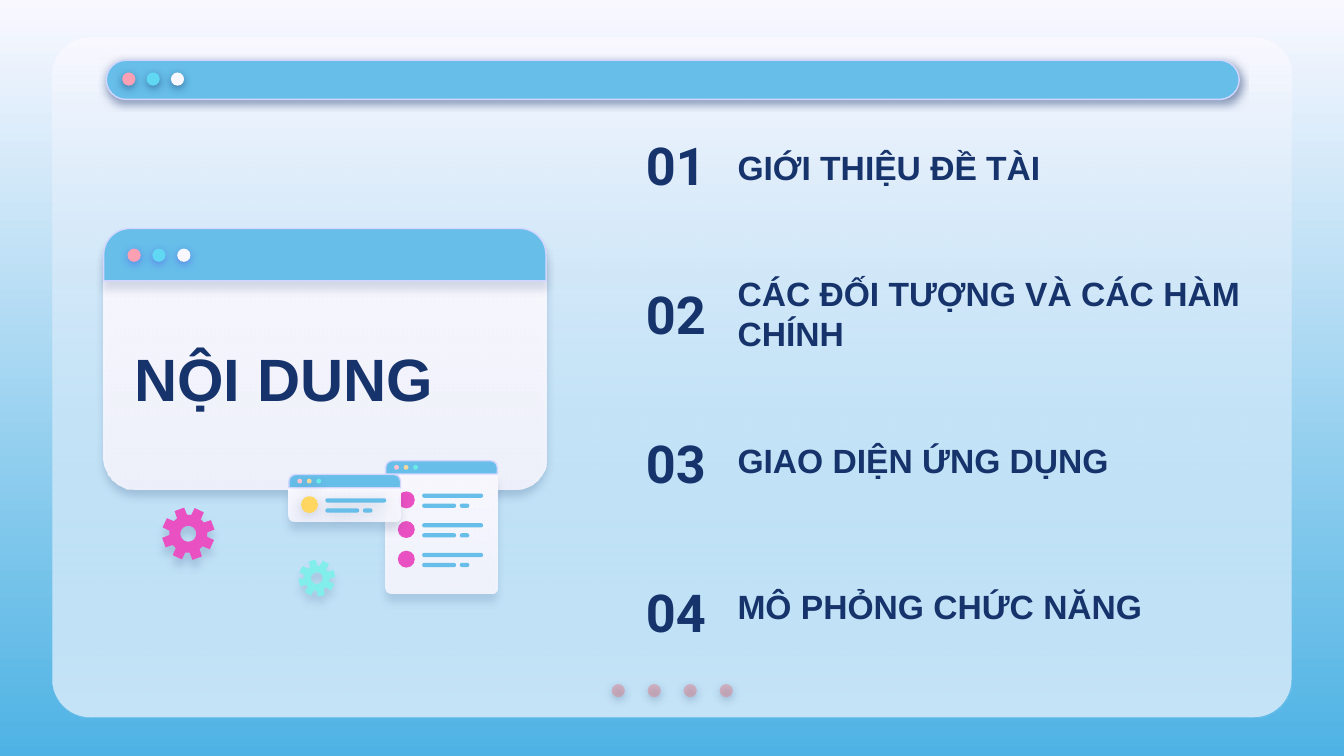
from dataclasses import dataclass
from math import cos, radians, sin
from typing import NamedTuple, Optional

from lxml import etree
from pptx import Presentation
from pptx import util as u
from pptx.dml.color import RGBColor
from pptx.enum import shapes, text
from pptx.oxml.ns import qn

COLORS = {
    "navy": "17336B", "sky": "66BEE9", "deep": "4EB3E4", "snow": "F9F8FF",
    "edge": "D2D6FF", "rose": "E27B83", "pink": "FDA0B4", "cyan": "60D8F4",
    "violet": "5352EE", "blush": "FFC3D0", "sand": "F5D79B", "mint": "6AEBE7",
    "magenta": "E951C2", "yellow": "FFD65F", "aqua": "81EEEB",
}
ROUND = shapes.MSO_SHAPE.ROUNDED_RECTANGLE
CAPPED = shapes.MSO_SHAPE.ROUND_2_SAME_RECTANGLE
OVAL = shapes.MSO_SHAPE.OVAL


class Rect(NamedTuple):
    left: float
    top: float
    width: float
    height: float


class Shadow(NamedTuple):
    color: str
    alpha: int
    blur: float
    distance: float


class Paint(NamedTuple):
    color: str
    alpha: int = 100
    fade_color: Optional[str] = None
    fade_alpha: int = 100


class Entry(NamedTuple):
    number: str
    title: str
    width: float


@dataclass
class MiniWindow:
    left: float
    top: float
    body_height: float
    first_row: float
    rows: int
    bullet: str
    body_shadow: Shadow
    dot_shadow: Optional[Shadow] = None
    row_shadow: Optional[Shadow] = None


@dataclass
class Gear:
    x: float
    y: float
    outer: float
    inner: float
    hole: float
    turn: float
    color: str
    shadow: Shadow


DOT_SHADOW = Shadow("navy", 50, 4.5, 1.5)
GLASS = Paint("snow", 100, "snow", 87)
TRIO = ("pink", "cyan", "snow")
MINI_TRIO = ("blush", "sand", "mint")
ENTRIES = (
    Entry("01", "GIỚI THIỆU ĐỀ TÀI", 9.7),
    Entry("02", "CÁC ĐỐI TƯỢNG VÀ CÁC HÀM CHÍNH", 10.13),
    Entry("03", "GIAO DIỆN ỨNG DỤNG", 9.7),
    Entry("04", "MÔ PHỎNG CHỨC NĂNG", 9.7),
)
MINI_WINDOWS = (
    MiniWindow(7.29, 8.71, 2.26, 0.58, 3, "magenta", Shadow("navy", 15, 4.5, 4.5)),
    MiniWindow(5.46, 8.97, 0.64, 0.41, 1, "yellow", Shadow("navy", 16, 4.5, 4.5),
               Shadow("navy", 17, 4.5, 2.2), Shadow("navy", 18, 6.8, 1.5)),
)
GEARS = (
    Gear(3.56, 10.09, 0.5, 0.36, 0.15, -110, "magenta", Shadow("navy", 16, 4.5, 4.5)),
    Gear(5.99, 10.93, 0.35, 0.24, 0.11, -105, "aqua", Shadow("navy", 15, 4.5, 3.8)),
)


def rgb(name: str) -> RGBColor:
    return RGBColor.from_string(COLORS[name])


def add_alpha(color, percent: int) -> None:
    if percent < 100:
        etree.SubElement(color, qn("a:alpha"), val=str(percent * 1000))


def fill_gradient(fill, first: str, last: str) -> None:
    fill.gradient()
    fill.gradient_angle = 270
    for stop, name, position in zip(fill.gradient_stops, (first, last), (0, 1)):
        stop.color.rgb = rgb(name)
        stop.position = position


def style(shape, paint: Paint, edge: Optional[str] = None,
          shadow: Optional[Shadow] = None) -> None:
    shape.shadow.inherit = False
    if paint.fade_color:
        fill_gradient(shape.fill, paint.color, paint.fade_color)
    else:
        shape.fill.solid()
        shape.fill.fore_color.rgb = rgb(paint.color)
    properties = shape._element.spPr
    for color, alpha in zip(properties.iter(qn("a:srgbClr")), (paint.alpha, paint.fade_alpha)):
        add_alpha(color, alpha)
    if edge:
        shape.line.color.rgb = rgb(edge)
        shape.line.width = u.Pt(0.75)
    else:
        shape.line.fill.background()
    if shadow:
        outer = etree.SubElement(
            properties.find(qn("a:effectLst")), qn("a:outerShdw"),
            blurRad=str(u.Pt(shadow.blur)), dist=str(u.Pt(shadow.distance)),
            dir="5400000", algn="bl", rotWithShape="0")
        color = etree.SubElement(outer, qn("a:srgbClr"), val=COLORS[shadow.color])
        add_alpha(color, shadow.alpha)


def add_block(page, kind, rect: Rect, paint: Paint, corners: tuple = (),
              edge: Optional[str] = None, shadow: Optional[Shadow] = None) -> None:
    block = page.shapes.add_shape(kind, *(u.Cm(length) for length in rect))
    for index, corner in enumerate(corners):
        block.adjustments[index] = corner
    style(block, paint, edge, shadow)


def add_dots(page, left: float, top: float, size: float, step: float,
             paints: list[Paint], shadow: Optional[Shadow]) -> None:
    for index, paint in enumerate(paints):
        rect = Rect(left + index * step, top, size, size)
        add_block(page, OVAL, rect, paint, shadow=shadow)


def add_text(page, rect: Rect, content: str, size: int, font: str,
             align=text.PP_ALIGN.LEFT, right_inset: float = 0.25) -> None:
    box = page.shapes.add_textbox(*(u.Cm(length) for length in rect))
    frame = box.text_frame
    frame.word_wrap = True
    frame.vertical_anchor = text.MSO_ANCHOR.MIDDLE
    frame.margin_left = frame.margin_top = frame.margin_bottom = u.Cm(0.25)
    frame.margin_right = u.Cm(right_inset)
    para = frame.paragraphs[0]
    para.alignment = align
    span = para.add_run()
    span.text = content
    span.font.size = u.Pt(size)
    span.font.name = font
    span.font.bold = True
    span.font.color.rgb = rgb("navy")


def add_mini_window(page, window: MiniWindow) -> None:
    left, top, width, header = window.left, window.top, 2.11, 0.25
    add_block(page, CAPPED, Rect(left, top + header, width, window.body_height), GLASS,
              (0, 0.13 / min(width, window.body_height)), shadow=window.body_shadow)
    add_block(page, CAPPED, Rect(left, top, width, header), Paint("sky"), (0.5, 0), "edge")
    add_dots(page, left + 0.16, top + 0.08, 0.09, 0.18,
             [Paint(name) for name in MINI_TRIO], window.dot_shadow)
    for row in range(window.rows):
        y = top + window.first_row + row * 0.56
        add_dots(page, left + 0.23, y, 0.32, 0, [Paint(window.bullet)], window.row_shadow)
        for x, drop, length in ((0.69, 0.04, 1.15), (0.69, 0.23, 0.64), (1.4, 0.23, 0.18)):
            add_block(page, ROUND, Rect(left + x, y + drop, length, 0.08), Paint("sky"),
                      (0.5,), shadow=window.row_shadow)


def add_gear(page, gear: Gear) -> None:
    def point(radius: float, angle: float) -> tuple:
        return (u.Cm(gear.x + radius * cos(radians(angle))),
                u.Cm(gear.y + radius * sin(radians(angle))))

    tooth = ((gear.inner, -16), (gear.outer, -11), (gear.outer, 11), (gear.inner, 16))
    rim = [point(radius, gear.turn + 45 * index + offset)
           for index in range(8) for radius, offset in tooth]
    hole = [point(gear.hole, -angle) for angle in range(0, 360, 15)]
    builder = page.shapes.build_freeform(*rim[0])
    builder.add_line_segments(rim[1:], close=True)
    builder.move_to(*hole[0])
    builder.add_line_segments(hole[1:], close=True)
    style(builder.convert_to_shape(), Paint(gear.color), shadow=gear.shadow)


def main() -> None:
    deck = Presentation()
    deck.slide_width, deck.slide_height = u.Cm(25.4), u.Cm(14.29)
    page = deck.slides.add_slide(deck.slide_layouts[6])
    fill_gradient(page.background.fill, "snow", "deep")

    trio = [Paint(name) for name in TRIO]
    for paint in (Paint("snow"), Paint("snow", 100, "sky", 35)):
        add_block(page, ROUND, Rect(0.99, 0.71, 23.42, 12.85), paint, (0.056,))
    add_dots(page, 11.56, 12.93, 0.25, 0.68, [Paint("rose", 44)] * 4, DOT_SHADOW)
    add_block(page, ROUND, Rect(2.01, 1.14, 21.41, 0.74), Paint("sky"), (0.5,),
              "edge", DOT_SHADOW)
    add_dots(page, 2.31, 1.37, 0.25, 0.46, trio, DOT_SHADOW)

    add_block(page, ROUND, Rect(1.96, 4.32, 8.36, 4.93), GLASS, (0.124,),
              shadow=Shadow("navy", 22, 4.5, 3.8))
    add_block(page, CAPPED, Rect(1.96, 4.32, 8.36, 0.99), Paint("sky"), (0.5, 0), "edge",
              Shadow("navy", 15, 4.5, 3.8))
    add_dots(page, 2.41, 4.7, 0.25, 0.47, trio, Shadow("violet", 50, 4.5, 1.5))
    add_text(page, Rect(2.29, 5.66, 7.87, 2.95), "NỘI DUNG", 32, "Arial")

    for window in MINI_WINDOWS:
        add_mini_window(page, window)
    for gear in GEARS:
        add_gear(page, gear)
    for index, entry in enumerate(ENTRIES):
        add_text(page, Rect(10.85, 1.91 + index * 2.82, 2.74, 2.4), entry.number, 28,
                 "Roboto", text.PP_ALIGN.RIGHT)
        add_text(page, Rect(13.69, 2.64 + index * 2.77, entry.width, 1.02), entry.title, 18,
                 "Arial", right_inset=0)
    deck.save("out.pptx")


if __name__ == "__main__":
    main()
